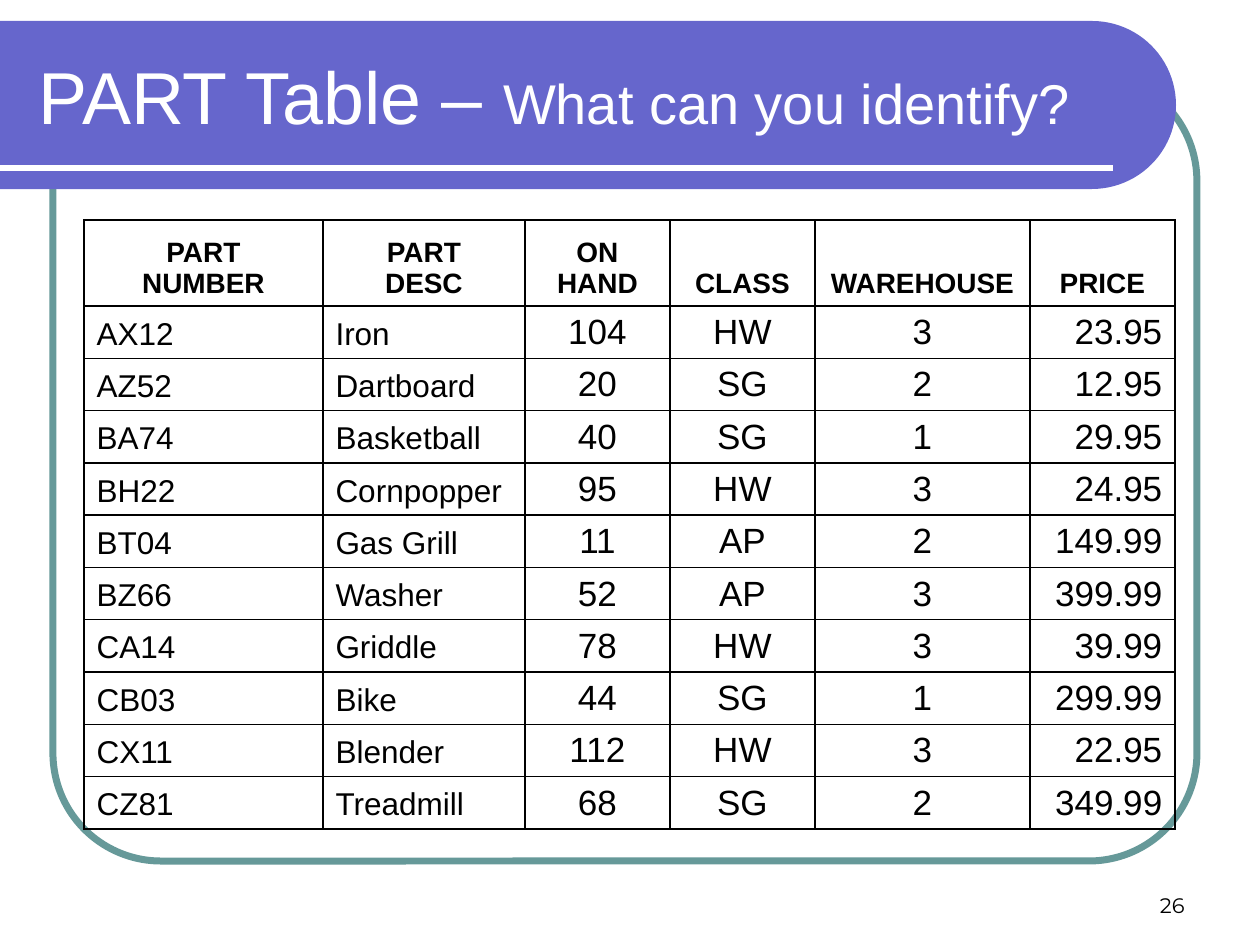
from math import cos, pi, sin

from lxml.etree import SubElement as Sub
from pptx import Presentation
from pptx.dml.color import RGBColor
from pptx.enum.shapes import MSO_CONNECTOR as Conn, MSO_SHAPE as Kind
from pptx.enum.text import MSO_ANCHOR as Anchor, PP_ALIGN as Align
from pptx.oxml import parse_xml
from pptx.oxml.ns import nsdecls, qn
from pptx.util import Emu, Pt

UNIT = 914400 / 126
COLS = [239, 202, 145, 145, 215, 145]
SIDES = [Align.LEFT] * 2 + [Align.CENTER] * 3 + [Align.RIGHT]
SIZES = [18] * 2 + [20] * 4
HEADS = ["PART\nNUMBER", "PART\nDESC", "ON\nHAND", "CLASS", "WAREHOUSE", "PRICE"]
PARTS = [
    ["AX12", "Iron", "104", "HW", "3", "23.95"],
    ["AZ52", "Dartboard", "20", "SG", "2", "12.95"],
    ["BA74", "Basketball", "40", "SG", "1", "29.95"],
    ["BH22", "Cornpopper", "95", "HW", "3", "24.95"],
    ["BT04", "Gas Grill", "11", "AP", "2", "149.99"],
    ["BZ66", "Washer", "52", "AP", "3", "399.99"],
    ["CA14", "Griddle", "78", "HW", "3", "39.99"],
    ["CB03", "Bike", "44", "SG", "1", "299.99"],
    ["CX11", "Blender", "112", "HW", "3", "22.95"],
    ["CZ81", "Treadmill", "68", "SG", "2", "349.99"],
]


def px(*vals):
    """Turn px lengths into a list of EMU."""
    return [Emu(round(v * UNIT)) for v in vals]


def tint(form, code):
    """Give a fill, line or font colour a hex value."""
    form.rgb = RGBColor.from_string(code)


def write(para, text, size, code="000000", face="Arial", bold=False):
    """Add runs to a paragraph, with a break at each newline."""
    for i, part in enumerate(text.split("\n")):
        if i:
            para.add_line_break()
        run = para.add_run()
        run.text = part
        run.font.size, run.font.name, run.font.bold = Pt(size), face, bold
        tint(run.font.color, code)


def add_frame(slide, x, y, w, h):
    """Draw the rounded outline behind the table."""
    frame = slide.shapes.add_shape(Kind.ROUNDED_RECTANGLE, *px(x, y, w, h))
    frame.adjustments[0] = 0.137
    frame.shadow.inherit = False
    frame.fill.background()
    frame.line.width = Pt(4)
    tint(frame.line.color, "669999")


def add_band(slide, x, y, w, h):
    """Draw the band with its round right end and white rule."""
    rad = h / 2
    mid = x + w - rad
    turns = [pi * (i / 48 - 0.5) for i in range(49)]
    arc = [px(mid + rad * cos(t), y + rad + rad * sin(t)) for t in turns]
    path = slide.shapes.build_freeform(*px(x, y))
    path.add_line_segments(arc + [px(x, y + h)], close=True)
    band = path.convert_to_shape()
    band.shadow.inherit = False
    band.fill.solid()
    tint(band.fill.fore_color, "6666CC")
    band.line.fill.background()

    low = y + h - 21
    rule = slide.shapes.add_connector(Conn.STRAIGHT, *px(x, low, x + w - 63, low))
    rule.line.width = Pt(3)
    tint(rule.line.color, "FFFFFF")
    Sub(rule.element.spPr, qn("a:effectLst"))


def add_title(slide, x, y, w, h):
    """Place the title above the band."""
    title = slide.shapes.title
    slide.shapes.element.append(title.element)
    title.left, title.top, title.width, title.height = px(x, y, w, h)
    title.text_frame.vertical_anchor = Anchor.MIDDLE
    para = title.text_frame.paragraphs[0]
    para.alignment = Align.LEFT
    write(para, "PART Table – ", 42, "FFFFFF")
    write(para, "What can you identify?", 32, "FFFFFF")


def add_number(slide, x, y, w, h):
    """Place the page number."""
    frame = slide.shapes.add_textbox(*px(x, y, w, h)).text_frame
    frame.word_wrap = True
    frame.vertical_anchor = Anchor.BOTTOM
    para = frame.paragraphs[0]
    para.alignment = Align.RIGHT
    write(para, "26", 12, face="Montserrat")


def edge(cell):
    """Put a thin black line on each side of a cell."""
    props = cell._tc.get_or_add_tcPr()
    for i, side in enumerate("LRTB"):
        props.insert(i, parse_xml(
            f'<a:ln{side} {nsdecls("a")} w="{Pt(1)}"><a:solidFill>'
            f'<a:srgbClr val="000000"/></a:solidFill></a:ln{side}>'))


def fill_cell(cell, text, size, side, bold):
    """Set the text and look of one cell."""
    cell.fill.background()
    cell.vertical_anchor = Anchor.BOTTOM
    edge(cell)
    para = cell.text_frame.paragraphs[0]
    para.alignment = side
    write(para, text, size, bold=bold)


def add_parts(slide, x, y, w, h, top=86):
    """Build the parts table with a head row and equal body rows."""
    rows = [HEADS] + PARTS
    grid = slide.shapes.add_table(len(rows), len(COLS), *px(x, y, w, h)).table
    grid.first_row = grid.horz_banding = False
    for col, wide in zip(grid.columns, px(*COLS)):
        col.width = wide
    body = (h - top) / len(PARTS)
    for r, row in enumerate(rows):
        grid.rows[r].height = px(body if r else top)[0]
        for c, text in enumerate(row):
            size, side = (SIZES[c], SIDES[c]) if r else (16, Align.CENTER)
            fill_cell(grid.cell(r, c), text, size, side, not r)


def main():
    """Build the slide and save it."""
    deck = Presentation()
    deck.slide_width, deck.slide_height = px(1260, 945)
    slide = deck.slides.add_slide(deck.slide_layouts[5])
    add_frame(slide, 53, 73, 1144, 788)
    add_band(slide, 0, 21, 1176, 168)
    add_number(slide, 903, 861, 294, 63)
    add_title(slide, 26, 32, 1105, 126)
    add_parts(slide, 84, 220, sum(COLS), 609)
    deck.save("out.pptx")


if __name__ == "__main__":
    main()
